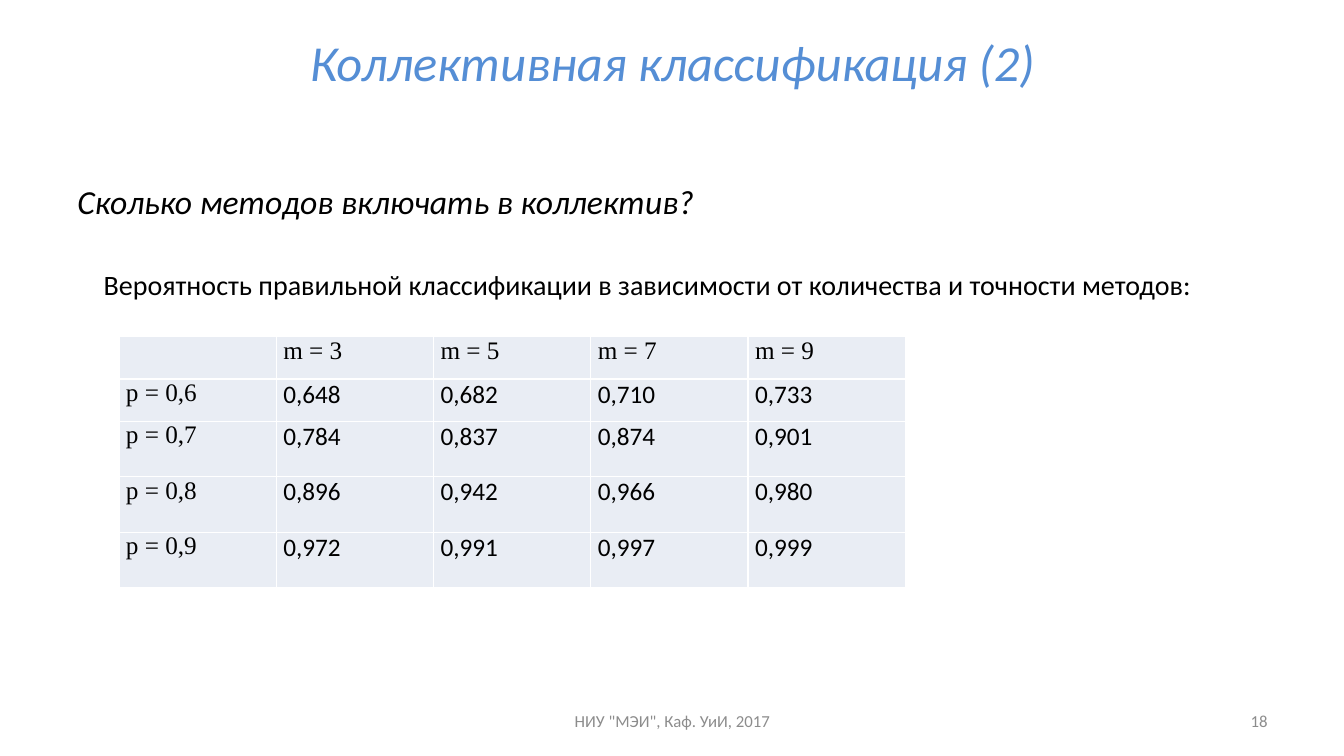
from dataclasses import dataclass

from lxml import etree
from pptx import Presentation
from pptx import util as u
from pptx.dml.color import RGBColor
from pptx.enum import text
from pptx.oxml import ns


@dataclass(frozen=True)
class Theme:
    sans: str = "Calibri"
    serif: str = "Times New Roman"
    accent: str = "558ED5"
    ink: str = "000000"
    muted: str = "8C8C8C"
    cell: str = "E9EDF4"
    border: str = "FFFFFF"
    title_size: float = 36
    question_size: float = 24
    caption_size: float = 20
    table_size: float = 18
    footer_size: float = 12


class SlideBuilder:
    def __init__(self, slide, theme):
        self.slide = slide
        self.theme = theme

    def set_text(self, frame, wording, size, color, font=None, italic=False,
                 align=text.PP_ALIGN.LEFT):
        paragraph = frame.paragraphs[0]
        paragraph.text = wording
        paragraph.alignment = align
        paragraph.font.name = font or self.theme.sans
        paragraph.font.size = u.Pt(size)
        paragraph.font.italic = italic
        paragraph.font.color.rgb = RGBColor.from_string(color)
        return paragraph

    def title(self, box, wording):
        heading = self.slide.shapes.title
        heading.left, heading.top, heading.width, heading.height = map(u.Inches, box)
        frame = heading.text_frame
        frame.auto_size = text.MSO_AUTO_SIZE.NONE
        frame.vertical_anchor = text.MSO_ANCHOR.MIDDLE
        self.set_text(frame, wording, self.theme.title_size, self.theme.accent,
                      italic=True, align=text.PP_ALIGN.CENTER)

    def label(self, box, wording, size, color, anchor=text.MSO_ANCHOR.TOP,
              wrap=True, **style):
        frame = self.slide.shapes.add_textbox(*map(u.Inches, box)).text_frame
        frame.word_wrap = wrap
        frame.vertical_anchor = anchor
        return self.set_text(frame, wording, size, color, **style)

    def footer(self, box, wording, align):
        self.label(box, wording, self.theme.footer_size, self.theme.muted,
                   anchor=text.MSO_ANCHOR.MIDDLE, align=align)

    def table(self, left, top, column_width, row_heights, rows):
        columns = len(rows[0])
        grid = self.slide.shapes.add_table(
            len(rows), columns, u.Inches(left), u.Inches(top),
            u.Inches(column_width * columns), u.Inches(sum(row_heights))).table
        for column in grid.columns:
            column.width = u.Inches(column_width)
        for r, (height, values) in enumerate(zip(row_heights, rows)):
            grid.rows[r].height = u.Inches(height)
            for c, value in enumerate(values):
                is_header = r == 0 or c == 0
                self.cell(grid.cell(r, c), value,
                          self.theme.serif if is_header else self.theme.sans)

    def cell(self, cell, value, font):
        cell.margin_left = cell.margin_right = u.Inches(0.07)
        cell.margin_top = cell.margin_bottom = 0
        self.set_text(cell.text_frame, value, self.theme.table_size,
                      self.theme.ink, font=font)
        properties = cell._tc.get_or_add_tcPr()
        for side in ("a:lnL", "a:lnR", "a:lnT", "a:lnB"):
            line = etree.SubElement(properties, ns.qn(side), w=str(u.Pt(1)))
            fill = etree.SubElement(line, ns.qn("a:solidFill"))
            etree.SubElement(fill, ns.qn("a:srgbClr"), val=self.theme.border)
        cell.fill.solid()
        cell.fill.fore_color.rgb = RGBColor.from_string(self.theme.cell)


METHOD_COUNTS = (3, 5, 7, 9)
PROBABILITIES = {
    "0,6": ("0,648", "0,682", "0,710", "0,733"),
    "0,7": ("0,784", "0,837", "0,874", "0,901"),
    "0,8": ("0,896", "0,942", "0,966", "0,980"),
    "0,9": ("0,972", "0,991", "0,997", "0,999"),
}

theme = Theme()
deck = Presentation()
deck.slide_width, deck.slide_height = u.Inches(13.33), u.Inches(7.5)
builder = SlideBuilder(deck.slides.add_slide(deck.slide_layouts[5]), theme)

builder.title((0.67, 0.3, 12, 0.61), "Коллективная классификация (2)")
question = builder.label((0.67, 1.75, 12, 0.62),
                         "Сколько методов включать в коллектив?",
                         theme.question_size, theme.ink, italic=True)
question.space_before = u.Pt(4.8)
builder.label((0.93, 2.6, 11.07, 0.44),
              "Вероятность правильной классификации в зависимости "
              "от количества и точности методов:",
              theme.caption_size, theme.ink, wrap=False)

header = ["", *(f"m = {count}" for count in METHOD_COUNTS)]
body = [[f"p = {accuracy}", *values] for accuracy, values in PROBABILITIES.items()]
builder.table(1.18, 3.34, 1.56, [0.42] * 2 + [0.55] * 3, [header, *body])

builder.footer((4.56, 6.95, 4.22, 0.4), 'НИУ "МЭИ", Каф. УиИ, 2017',
               text.PP_ALIGN.CENTER)
builder.footer((9.56, 6.95, 3.11, 0.4), "18", text.PP_ALIGN.RIGHT)

deck.save("out.pptx")
